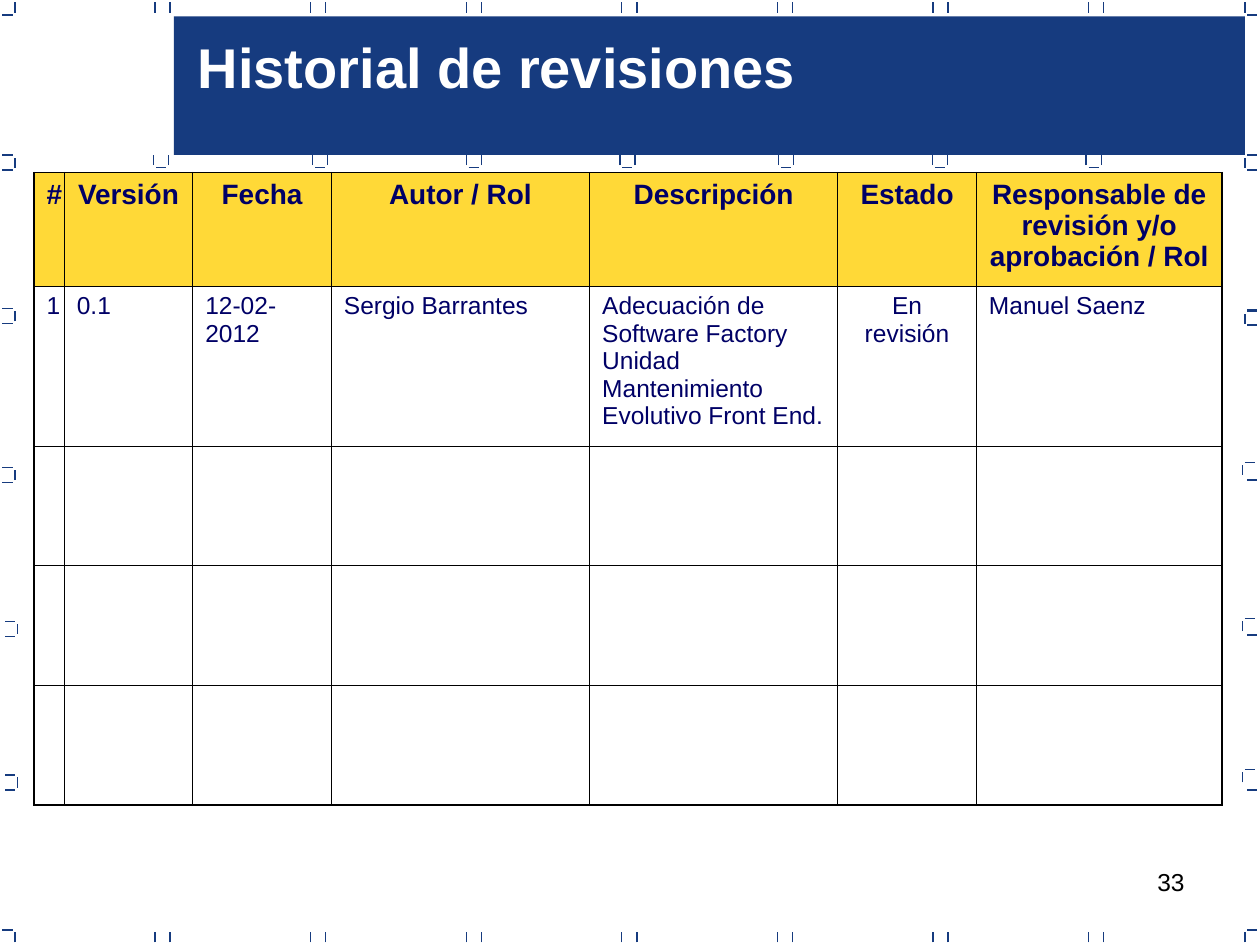
import pptx
import pptx.util
import pptx.dml.color
import pptx.enum.shapes
import pptx.enum.text
import pptx.oxml
import pptx.oxml.ns

ALIGN = pptx.enum.text.PP_ALIGN
NAVY, YELLOW, INK, BLACK, WHITE = "163B7F", "FFD937", "000066", "000000", "FFFFFF"

COLUMNS = [2.4, 10.2, 11, 20.5, 19.7, 11, 19.5]
ROWS = [9, 12.7, 9.5, 9.5, 9.5]
HEADINGS = ["#", "Versión", "Fecha", "Autor / Rol", "Descripción", "Estado",
            "Responsable de revisión y/o aprobación / Rol"]
REVISION = ["1", "0.1", "12-02-2012", "Sergio Barrantes",
            "Adecuación de Software Factory Unidad Mantenimiento Evolutivo Front End.",
            "En revisión", "Manuel Saenz"]
CENTRED = {0, 5}


def grid(cells):
    """The slide is a grid of 100 columns by 75 rows, each 0.1 inch."""
    return pptx.util.Inches(cells / 10)


def colour(value):
    return pptx.dml.color.RGBColor.from_string(value)


def write(frame, text, size=14, ink=INK, bold=False, align=ALIGN.LEFT, before=0):
    paragraph = frame.paragraphs[0]
    paragraph.alignment = align
    paragraph.space_before = pptx.util.Pt(before)
    run = paragraph.add_run()
    run.text = text
    run.font.name = "Arial"
    run.font.size = pptx.util.Pt(size)
    run.font.bold = bold
    run.font.color.rgb = colour(ink)


class SlideBuilder:
    dash = 0.8
    gap = 0.2
    pair = 1.2

    def __init__(self, slide):
        self.slide = slide

    def line(self, x1, y1, x2, y2):
        connector = self.slide.shapes.add_connector(
            pptx.enum.shapes.MSO_CONNECTOR.STRAIGHT,
            grid(x1), grid(y1), grid(x2), grid(y2))
        connector.line.color.rgb = colour(NAVY)
        connector.line.width = pptx.util.Pt(0.75)
        connector.element.spPr.append(pptx.oxml.parse_xml(
            f'<a:effectLst {pptx.oxml.ns.nsdecls("a")}/>'))

    def across(self, x, y):
        self.line(x, y, x + self.dash, y)

    def upright(self, x, y):
        self.line(x, y + self.dash, x, y)

    def uprights(self, x, y):
        self.upright(x, y)
        self.upright(x + self.pair, y)

    def banner(self, left, top, width, height):
        shape = self.slide.shapes.add_shape(
            pptx.enum.shapes.MSO_SHAPE.RECTANGLE,
            grid(left), grid(top), grid(width), grid(height))
        shape.shadow.inherit = False
        shape.fill.solid()
        shape.fill.fore_color.rgb = colour(NAVY)
        shape.line.fill.background()

    def title(self, text, left, top, width, height):
        shape = self.slide.shapes.title
        shape.left, shape.top = grid(left), grid(top)
        shape.width, shape.height = grid(width), grid(height)
        frame = shape.text_frame
        frame.word_wrap = False
        frame.auto_size = pptx.enum.text.MSO_AUTO_SIZE.SHAPE_TO_FIT_TEXT
        frame.vertical_anchor = pptx.enum.text.MSO_ANCHOR.TOP
        write(frame, text, size=32, ink=WHITE, bold=True)
        # Bring the title in front of the banner
        shape.element.getparent().append(shape.element)

    def page_number(self, text, left, top, width, height):
        shape = self.slide.shapes.add_textbox(
            grid(left), grid(top), grid(width), grid(height))
        shape.text_frame.word_wrap = True
        write(shape.text_frame, text, ink=BLACK, align=ALIGN.RIGHT)

    def borders(self, cell, outer):
        properties = cell._tc.get_or_add_tcPr()
        for index, side in enumerate("LRTB"):
            width = pptx.util.Pt(1.08 if side in outer else 0.45)
            properties.insert(index, pptx.oxml.parse_xml(
                f'<a:ln{side} {pptx.oxml.ns.nsdecls("a")} w="{int(width)}">'
                f'<a:solidFill><a:srgbClr val="{BLACK}"/></a:solidFill></a:ln{side}>'))

    def table(self, left, top):
        table = self.slide.shapes.add_table(
            len(ROWS), len(COLUMNS), grid(left), grid(top),
            grid(sum(COLUMNS)), grid(sum(ROWS))).table
        table.first_row = table.horz_banding = False
        for column, width in zip(table.columns, COLUMNS):
            column.width = grid(width)
        for row, height in zip(table.rows, ROWS):
            row.height = grid(height)
        last_row, last_column = len(ROWS) - 1, len(COLUMNS) - 1
        for r in range(len(ROWS)):
            for c in range(len(COLUMNS)):
                cell = table.cell(r, c)
                if r == 0:
                    cell.fill.solid()
                    cell.fill.fore_color.rgb = colour(YELLOW)
                    write(cell.text_frame, HEADINGS[c], size=16, bold=True,
                          align=ALIGN.CENTER, before=4)
                else:
                    cell.fill.background()
                if r == 1:
                    write(cell.text_frame, REVISION[c], before=3.5,
                          align=ALIGN.CENTER if c in CENTRED else ALIGN.LEFT)
                edges = {"L": c == 0, "R": c == last_column,
                         "T": r == 0, "B": r == last_row}
                self.borders(cell, [side for side, on in edges.items() if on])


def draw_frame(builder):
    # Paired ticks along the top and bottom edges
    for index in range(7):
        for y in (0.2, 74):
            builder.uprights(12.3 + 12.35 * index, y)

    # Corner marks
    for y, level in ((0.2, 1.2), (74, 73.8)):
        for x, start in ((1.2, 0.2), (98.8, 99)):
            builder.upright(x, y)
            builder.across(start, level)

    # Brackets on the left edge
    for x, y in ((0.2, 12.3), (0.2, 24.5), (0.2, 37.1), (0.4, 49.3), (0.4, 61.5)):
        builder.across(x, y)
        builder.upright(x + builder.dash + builder.gap, y + builder.gap)
        builder.across(x, y + builder.pair)

    # Brackets on the right edge
    for x, y in ((98.8, 12.3), (98.8, 24.7), (98.6, 36.7), (98.6, 49.1), (98.6, 61.1)):
        builder.across(x + builder.gap, y)
        builder.upright(x, y + builder.gap)
    for y in (13.5, 24.6, 25.8, 38.1, 50.4, 62.7):
        builder.across(99, y)

    builder.banner(13.8, 1.3, 85, 11)

    # Cups below the banner
    for x in (12.2, 24.8, 37, 49.2, 61.8, 74, 86.2):
        builder.uprights(x, 12.3)
        builder.across(x + builder.gap, 13.3)


def main():
    presentation = pptx.Presentation()
    presentation.slide_width, presentation.slide_height = grid(100), grid(75)
    title_only = presentation.slide_layouts[5]
    builder = SlideBuilder(presentation.slides.add_slide(title_only))

    builder.page_number("33", 71.7, 68.3, 23.3, 5.2)
    draw_frame(builder)
    builder.title("Historial de revisiones", 14.7, 2.1, 49.5, 6.4)
    builder.table(2.7, 13.7)
    presentation.save("out.pptx")


if __name__ == "__main__":
    main()
